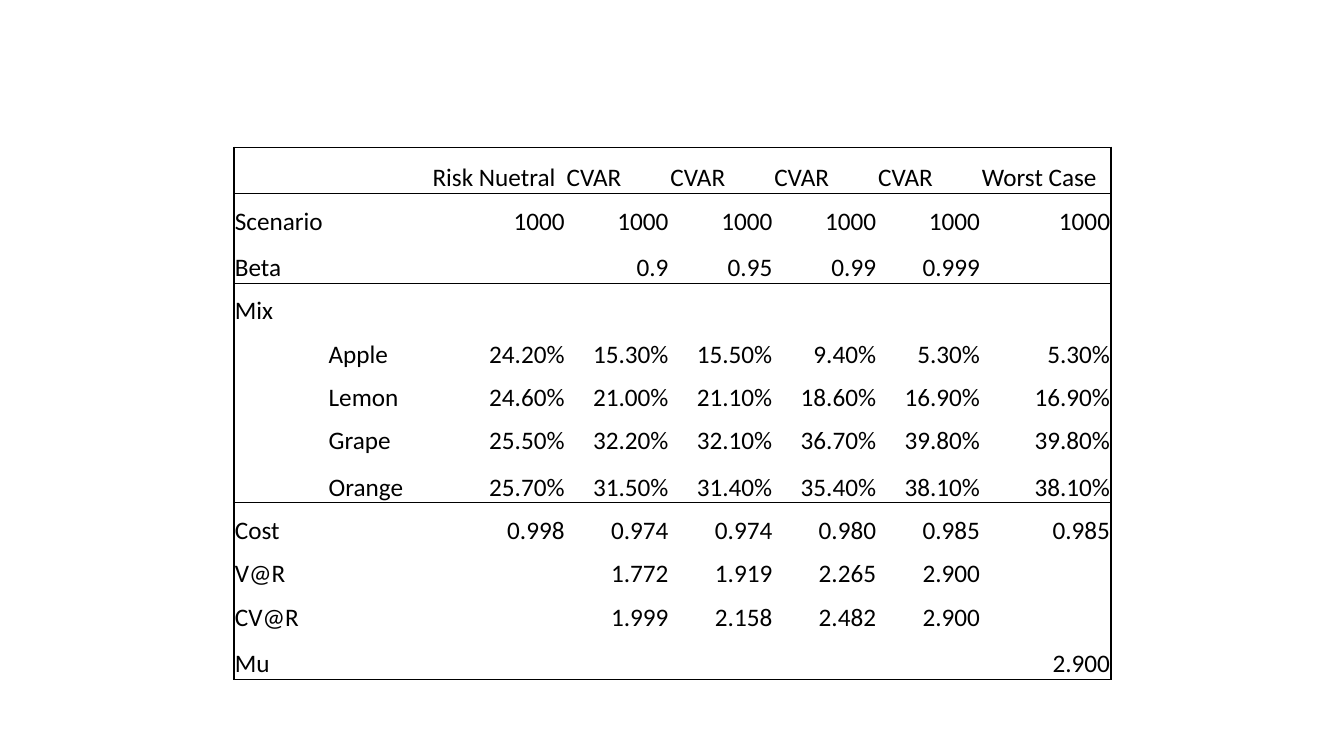
from dataclasses import dataclass

from lxml import etree
from pptx import Presentation
from pptx.dml.color import RGBColor
from pptx.enum.text import MSO_ANCHOR, PP_ALIGN
from pptx.oxml.ns import qn
from pptx.util import Inches, Pt

BOTTOM = MSO_ANCHOR.BOTTOM
LEFT, RIGHT = PP_ALIGN.LEFT, PP_ALIGN.RIGHT
BLANK = 6


@dataclass(frozen=True)
class Theme:
    font: str = "Calibri"
    size: int = 18
    ink: str = "000000"
    line: float = 1


THEME = Theme()

COLS = [0.93, 1.03, 1.33] + [1.03] * 4 + [1.29]
TALL, LOW = 0.46, 0.43
RULES = {0, 1, 3, 8, 12}  # row edges that carry a line
ROWS = [
    ["", "", "Risk Nuetral", "CVAR", "CVAR", "CVAR", "CVAR", "Worst Case"],
    ["Scenario", ""] + ["1000"] * 6,
    ["Beta", "", "", "0.9", "0.95", "0.99", "0.999", ""],
    ["Mix"] + [""] * 7,
    ["", "Apple", "24.20%", "15.30%", "15.50%", "9.40%", "5.30%", "5.30%"],
    ["", "Lemon", "24.60%", "21.00%", "21.10%", "18.60%", "16.90%", "16.90%"],
    ["", "Grape", "25.50%", "32.20%", "32.10%", "36.70%", "39.80%", "39.80%"],
    ["", "Orange", "25.70%", "31.50%", "31.40%", "35.40%", "38.10%", "38.10%"],
    ["Cost", "", "0.998", "0.974", "0.974", "0.980", "0.985", "0.985"],
    ["V@R", "", "", "1.772", "1.919", "2.265", "2.900", ""],
    ["CV@R", "", "", "1.999", "2.158", "2.482", "2.900", ""],
    ["Mu"] + [""] * 6 + ["2.900"],
]


def set_edges(cell, edges):
    """Draw the sides marked true in edges and hide the others."""
    props = cell._tc.get_or_add_tcPr()
    for side, shown in edges.items():
        line = etree.SubElement(props, qn(f"a:ln{side}"), w=str(Pt(THEME.line)))
        if shown:
            fill = etree.SubElement(line, qn("a:solidFill"))
            etree.SubElement(fill, qn("a:srgbClr"), val=THEME.ink)
        else:
            etree.SubElement(line, qn("a:noFill"))


def fill_cell(cell, text, align):
    cell.margin_left = cell.margin_right = cell.margin_top = Inches(0.01)
    cell.margin_bottom = 0
    cell.vertical_anchor = BOTTOM
    cell.fill.background()
    cell.text = text
    para = cell.text_frame.paragraphs[0]
    para.alignment = align
    para.font.name = THEME.font
    para.font.size = Pt(THEME.size)
    para.font.bold = False
    para.font.color.rgb = RGBColor.from_string(THEME.ink)


def add_results(slide, left, top, width, height):
    frame = slide.shapes.add_table(
        len(ROWS), len(COLS),
        Inches(left), Inches(top), Inches(width), Inches(height))
    table = frame.table
    table.first_row = table.horz_banding = False
    for col, size in zip(table.columns, COLS):
        col.width = Inches(size)
    last = len(COLS) - 1
    for r, row in enumerate(ROWS):
        ruled = r == 0 or r + 1 in RULES
        table.rows[r].height = Inches(TALL if ruled else LOW)
        for c, text in enumerate(row):
            cell = table.cell(r, c)
            set_edges(cell, {"L": c == 0, "R": c == last,
                             "T": r in RULES, "B": r + 1 in RULES})
            fill_cell(cell, text, RIGHT if r and c > 1 else LEFT)
        if not row[1]:
            table.cell(r, 0).merge(table.cell(r, 1))


def main():
    deck = Presentation()
    deck.slide_width, deck.slide_height = Inches(13.33), Inches(7.5)
    slide = deck.slides.add_slide(deck.slide_layouts[BLANK])
    add_results(slide, 2.32, 1.46, 8.7, 5.29)
    deck.save("out.pptx")


if __name__ == "__main__":
    main()
